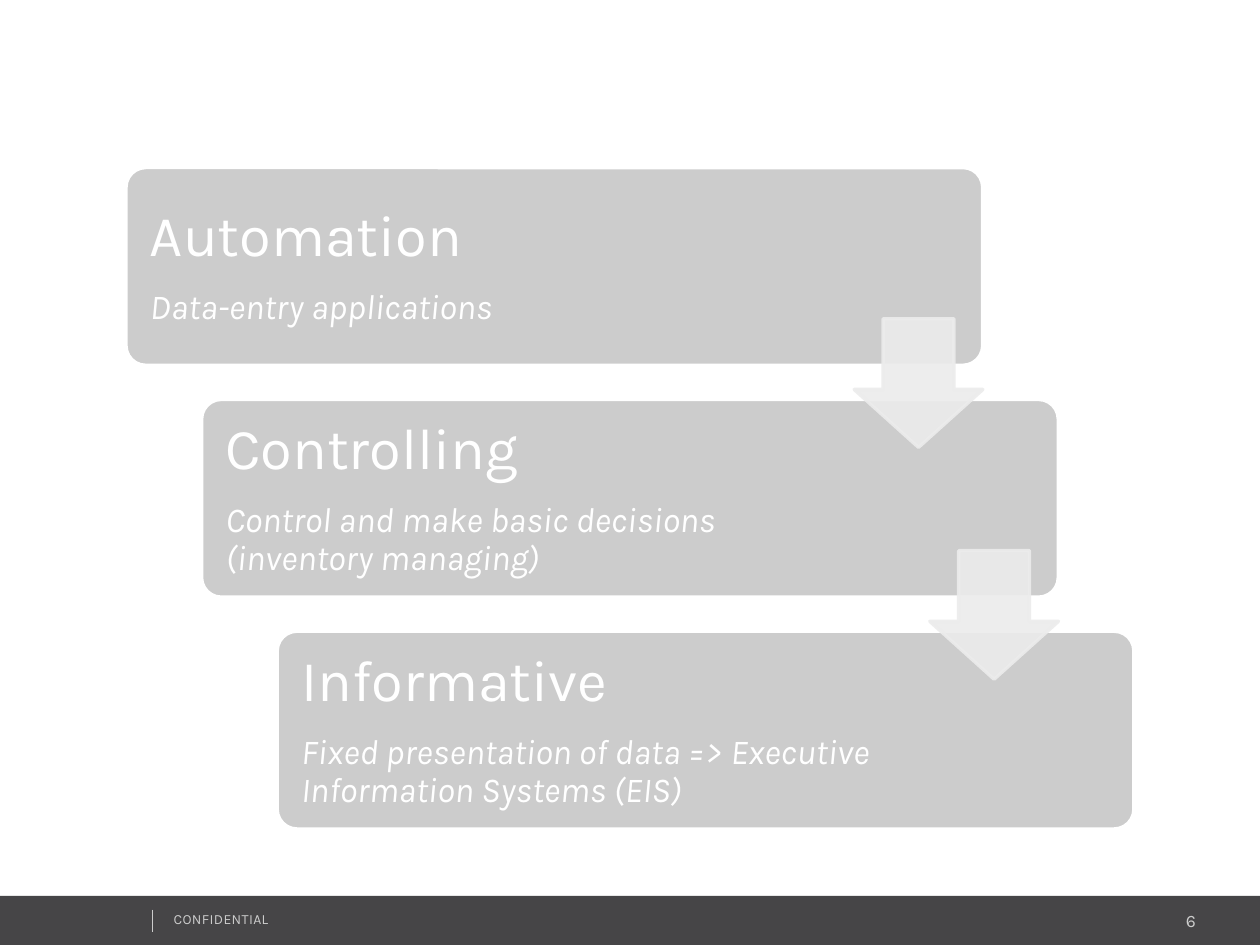
from lxml import etree
from pptx import Presentation
from pptx.dml.color import RGBColor
from pptx.enum.shapes import MSO_CONNECTOR, MSO_SHAPE
from pptx.enum.text import MSO_ANCHOR, PP_ALIGN
from pptx.oxml.ns import qn
from pptx.util import Inches, Pt

RECT = MSO_SHAPE.RECTANGLE
ROUND = MSO_SHAPE.ROUNDED_RECTANGLE
ARROW = MSO_SHAPE.DOWN_ARROW
LINE = MSO_CONNECTOR.STRAIGHT
MIDDLE = MSO_ANCHOR.MIDDLE
TOP = MSO_ANCHOR.TOP
LEFT = PP_ALIGN.LEFT
RIGHT = PP_ALIGN.RIGHT

COLORS = {"bar": "464547", "gray": "CCCCCC", "pale": "ECECEC", "white": "FFFFFF"}
STEPS = [
    ("Automation", "Data-entry applications", 5.1),
    ("Controlling", "Control and make basic decisions (inventory managing)", 5.08),
    ("Informative", "Fixed presentation of data => Executive Information Systems (EIS)", 5.08),
]
START_X, START_Y = 1, 1.33
STEP_X, STEP_Y = 0.6, 1.84


class Painter:
    """Draws styled elements on the current slide."""

    def __init__(self, slide, font):
        self.slide = slide
        self.font = font

    def color(self, name):
        return RGBColor.from_string(COLORS[name])

    def shape(self, kind, box, fill, line=None, adjust=(), alpha=None):
        item = self.slide.shapes.add_shape(kind, *map(Inches, box))
        item.shadow.inherit = False
        for place, value in enumerate(adjust):
            item.adjustments[place] = value
        item.fill.solid()
        item.fill.fore_color.rgb = self.color(fill)
        if line:
            item.line.color.rgb = self.color(line)
            item.line.width = Pt(2)
        else:
            item.line.fill.background()
        if alpha:
            for tone in item._element.spPr.iter(qn("a:srgbClr")):
                etree.SubElement(tone, qn("a:alpha")).set("val", str(alpha * 1000))

    def text(self, box, lines, color, inset=(0.1, 0.05), anchor=TOP, align=LEFT, pitch=None, track=None):
        frame = self.slide.shapes.add_textbox(*map(Inches, box)).text_frame
        frame.word_wrap = True
        frame.vertical_anchor = anchor
        frame.margin_left = frame.margin_right = Inches(inset[0])
        frame.margin_top = frame.margin_bottom = Inches(inset[1])
        frame.text = "\n".join(words for words, size, slant in lines)
        for para, (words, size, slant) in zip(frame.paragraphs, lines):
            para.alignment = align
            if pitch:
                para.line_spacing = pitch
                para.space_after = Pt(round(size * 0.35, 1))
            for run in para.runs:
                run.font.name = self.font
                run.font.size = Pt(size)
                run.font.italic = slant
                run.font.color.rgb = self.color(color)
                if track:
                    run.font._element.set("spc", str(track))

    def line(self, ends, color, width):
        item = self.slide.shapes.add_connector(LINE, *map(Inches, ends))
        item.line.color.rgb = self.color(color)
        item.line.width = Pt(width)
        etree.SubElement(item._element.spPr, qn("a:effectLst"))


def main():
    deck = Presentation()
    deck.slide_width, deck.slide_height = Inches(10), Inches(7.5)
    pen = Painter(deck.slides.add_slide(deck.slide_layouts[6]), "Karla")

    pen.shape(RECT, (0, 7.11, 10, 0.39), "bar")
    pen.text((7.96, 7.17, 1.63, 0.27), [("6", 10, False)], "gray", align=RIGHT)
    pen.text((1.28, 7.18, 2.53, 0.24), [("CONFIDENTIAL", 8, False)], "gray", track=20)
    pen.line((1.21, 7.22, 1.21, 7.4), "gray", 0.25)

    for index, (title, detail, width) in enumerate(STEPS):
        left, top = START_X + index * STEP_X, START_Y + index * STEP_Y
        pen.shape(ROUND, (left, top, 6.8, 1.57), "gray", "white", (0.1,))
        pen.text((left + 0.05, top + 0.05, width, 1.48),
                 [(title, 33, False), (detail, 20, True)], "white",
                 inset=(0.14, 0.14), anchor=MIDDLE, pitch=0.9)

    for index in range(len(STEPS) - 1):
        left, top = START_X + 5.78 + index * STEP_X, START_Y + 1.2 + index * STEP_Y
        pen.shape(ARROW, (left, top, 1.02, 1.02), "pale", "pale", (0.55, 0.45), 90)

    deck.save("out.pptx")


if __name__ == "__main__":
    main()
